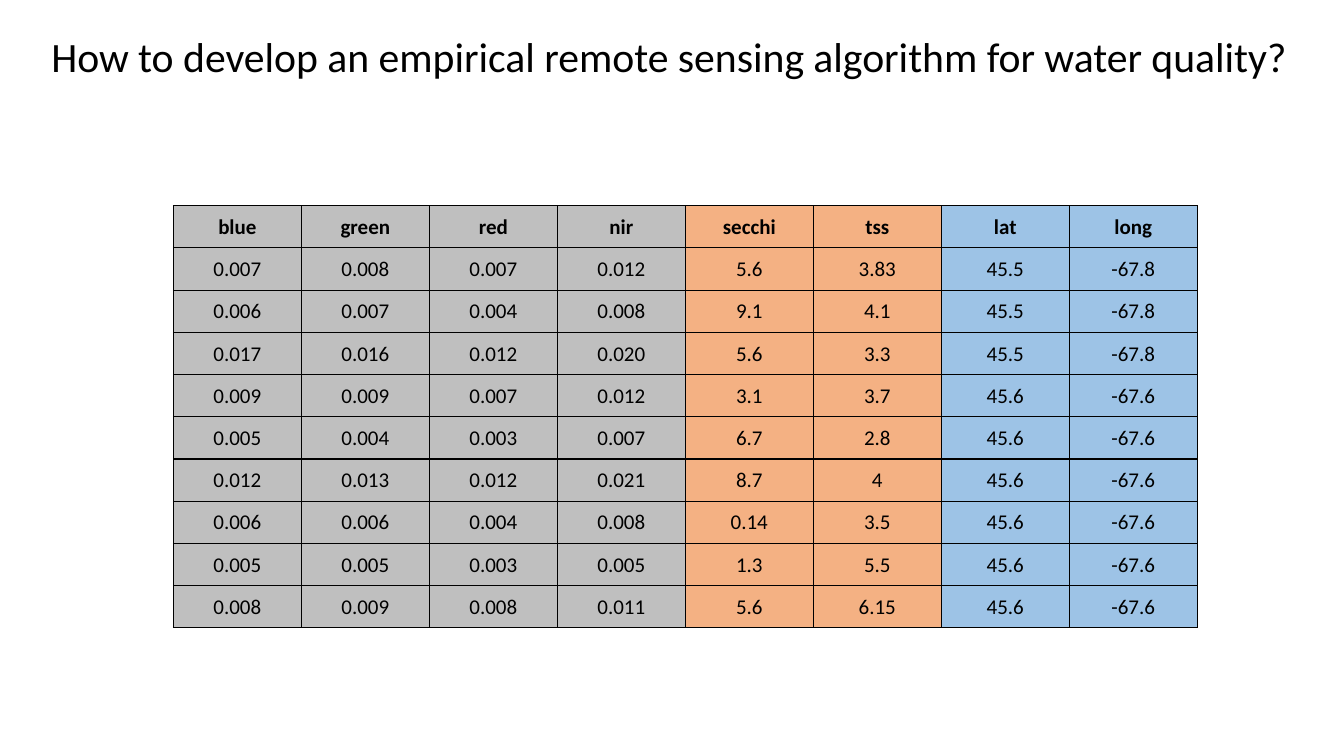
import pptx
import pptx.dml.color
import pptx.enum.text
import pptx.oxml
import pptx.oxml.ns
import pptx.util

Pt = pptx.util.Pt
RGBColor = pptx.dml.color.RGBColor
ANCHOR = pptx.enum.text.MSO_ANCHOR

BLACK = RGBColor(0x00, 0x00, 0x00)
GRAY = RGBColor(0xBF, 0xBF, 0xBF)
ORANGE = RGBColor(0xF4, 0xB1, 0x83)
BLUE = RGBColor(0x9D, 0xC3, 0xE6)

FONT = "Calibri"
TITLE = "How to develop an empirical remote sensing algorithm for water quality?"
COLUMN_WIDTH = 91.44
ROW_HEIGHT = 30.17
COLUMN_FILLS = [GRAY] * 4 + [ORANGE] * 2 + [BLUE] * 2
SAMPLES = [
    ["blue", "green", "red", "nir", "secchi", "tss", "lat", "long"],
    ["0.007", "0.008", "0.007", "0.012", "5.6", "3.83", "45.5", "-67.8"],
    ["0.006", "0.007", "0.004", "0.008", "9.1", "4.1", "45.5", "-67.8"],
    ["0.017", "0.016", "0.012", "0.020", "5.6", "3.3", "45.5", "-67.8"],
    ["0.009", "0.009", "0.007", "0.012", "3.1", "3.7", "45.6", "-67.6"],
    ["0.005", "0.004", "0.003", "0.007", "6.7", "2.8", "45.6", "-67.6"],
    ["0.012", "0.013", "0.012", "0.021", "8.7", "4", "45.6", "-67.6"],
    ["0.006", "0.006", "0.004", "0.008", "0.14", "3.5", "45.6", "-67.6"],
    ["0.005", "0.005", "0.003", "0.005", "1.3", "5.5", "45.6", "-67.6"],
    ["0.008", "0.009", "0.008", "0.011", "5.6", "6.15", "45.6", "-67.6"],
]


def write_text(frame, text, size, bold=False, color=BLACK):
    """Put one centred paragraph in a text frame."""
    para = frame.paragraphs[0]
    para.alignment = pptx.enum.text.PP_ALIGN.CENTER
    span = para.add_run()
    span.text = text
    span.font.name = FONT
    span.font.size = Pt(size)
    span.font.bold = bold
    span.font.color.rgb = color


def add_title(page, text):
    box = page.shapes.add_textbox(Pt(19.44), Pt(18), Pt(917.28), Pt(43.2))
    frame = box.text_frame
    frame.word_wrap = True
    frame.vertical_anchor = ANCHOR.BOTTOM
    write_text(frame, text, size=29.8)


def add_borders(cell, color=BLACK, width=1):
    """Line all four sides; call before filling, as lines precede the fill."""
    properties = cell._tc.get_or_add_tcPr()
    for side in "LRTB":
        properties.append(pptx.oxml.parse_xml(
            f'<a:ln{side} {pptx.oxml.ns.nsdecls("a")} w="{Pt(width)}">'
            f'<a:solidFill><a:srgbClr val="{color}"/></a:solidFill></a:ln{side}>'
        ))


def format_cell(cell, fill):
    cell.margin_left = cell.margin_right = cell.margin_top = Pt(0.72)
    cell.margin_bottom = Pt(0)
    cell.vertical_anchor = ANCHOR.MIDDLE
    add_borders(cell)
    cell.fill.solid()
    cell.fill.fore_color.rgb = fill


def add_sample_table(page, rows, fills):
    table = page.shapes.add_table(
        len(rows), len(fills), Pt(123.84), Pt(146.88),
        Pt(COLUMN_WIDTH * len(fills)), Pt(ROW_HEIGHT * len(rows)),
    ).table
    table.horz_banding = False
    for column in table.columns:
        column.width = Pt(COLUMN_WIDTH)
    for row_index, values in enumerate(rows):
        table.rows[row_index].height = Pt(ROW_HEIGHT)
        for column_index, (value, fill) in enumerate(zip(values, fills)):
            cell = table.cell(row_index, column_index)
            format_cell(cell, fill)
            write_text(cell.text_frame, value, size=15, bold=row_index == 0)


def main():
    deck = pptx.Presentation()
    deck.slide_width = Pt(960)
    deck.slide_height = Pt(540)
    page = deck.slides.add_slide(deck.slide_layouts[6])
    add_title(page, TITLE)
    add_sample_table(page, SAMPLES, COLUMN_FILLS)
    deck.save("out.pptx")


if __name__ == "__main__":
    main()
